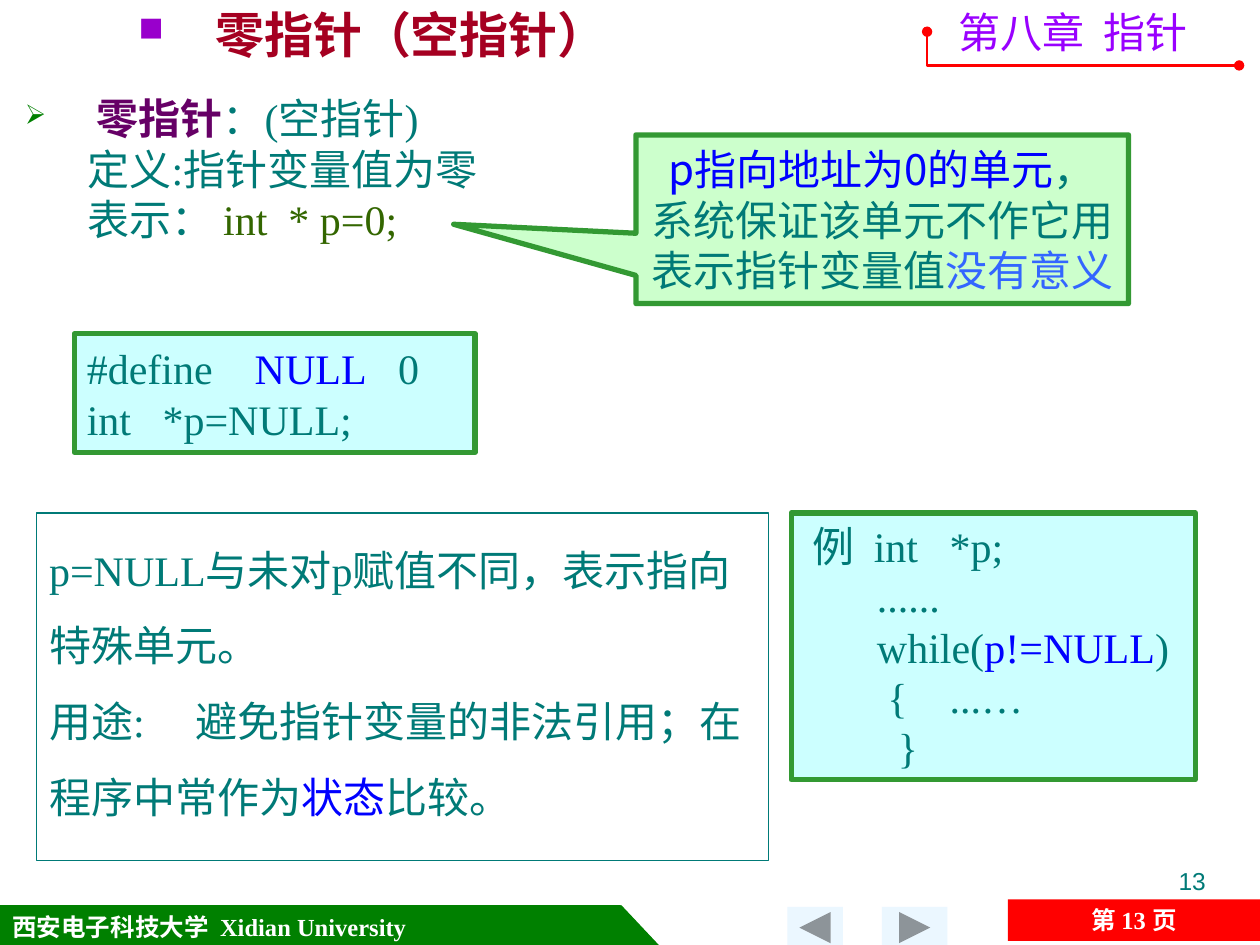
from lxml import etree
from pptx import Presentation
from pptx.dml.color import RGBColor
from pptx.enum.shapes import MSO_SHAPE
from pptx.enum.text import MSO_ANCHOR, PP_ALIGN
from pptx.oxml.ns import qn
from pptx.util import Cm, Pt

RECT = MSO_SHAPE.RECTANGLE
CORNER = MSO_SHAPE.RIGHT_TRIANGLE
CALL = MSO_SHAPE.RECTANGULAR_CALLOUT
NEXT = MSO_SHAPE.ACTION_BUTTON_FORWARD_OR_NEXT
LEFT, MID, RIGHT = PP_ALIGN.LEFT, PP_ALIGN.CENTER, PP_ALIGN.RIGHT
TOP, CENTER, BOTTOM = MSO_ANCHOR.TOP, MSO_ANCHOR.MIDDLE, MSO_ANCHOR.BOTTOM

WHITE = RGBColor(0xFF, 0xFF, 0xFF)
GREEN = RGBColor(0x00, 0x80, 0x00)
RED = RGBColor(0xFF, 0x00, 0x00)
ICE = RGBColor(0xEB, 0xF7, 0xFF)
TEAL = RGBColor(0x00, 0x7A, 0x77)
VIOLET = RGBColor(0x99, 0x00, 0xFF)
PURPLE = RGBColor(0x99, 0x00, 0xCC)
PLUM = RGBColor(0x66, 0x00, 0x66)
OLIVE = RGBColor(0x33, 0x66, 0x00)
MINT = RGBColor(0xCC, 0xFF, 0xCC)
CYAN = RGBColor(0xCC, 0xFF, 0xFF)
EDGE = RGBColor(0x33, 0x99, 0x33)
BLUE = RGBColor(0x00, 0x00, 0xFF)
SKY = RGBColor(0x33, 0x66, 0xFF)
WINE = RGBColor(0xA5, 0x00, 0x21)

SERIF, SANS, CJK = "Times New Roman", "Arial", "Noto Sans CJK SC"


def add(node, tag, **attrs):
    return etree.SubElement(node, qn(tag), attrs)


def mark(para, char, color, size):
    props = para._p.get_or_add_pPr()
    add(add(props, "a:buClr"), "a:srgbClr", val=str(color))
    add(props, "a:buSzPct", val=str(size * 1000))
    add(props, "a:buChar", char=char)


def indent(para, left, first=0):
    props = para._p.get_or_add_pPr()
    props.set("marL", str(Cm(left)))
    props.set("indent", str(Cm(first)))


def tab(para, place):
    tabs = add(para._p.get_or_add_pPr(), "a:tabLst")
    add(tabs, "a:tab", pos=str(Cm(place)), algn="l")


def write(shape, lines, size=24, font=SERIF, color=TEAL, bold=False,
          align=LEFT, anchor=TOP, wrap=True, space=1.0):
    frame = shape.text_frame
    frame.word_wrap, frame.vertical_anchor = wrap, anchor
    paras = []
    for i, line in enumerate(lines):
        para = frame.paragraphs[0] if i == 0 else frame.add_paragraph()
        para.alignment, para.line_spacing = align, space
        for text, *extra in line:
            run = para.add_run()
            run.text = text
            look = {"size": Pt(size), "name": font, "bold": bold, "color": color}
            look.update(*extra)
            run.font.color.rgb = look.pop("color")
            for key, value in look.items():
                setattr(run.font, key, value)
            add(run._r.get_or_add_rPr(), "a:ea", typeface=CJK)
        paras.append(para)
    return paras


def text_box(slide, box):
    return slide.shapes.add_textbox(*map(Cm, box))


def block(slide, box, fill=None, edge=None, width=3, kind=RECT):
    shape = slide.shapes.add_shape(kind, *map(Cm, box))
    shape.shadow.inherit = False
    if fill is None:
        shape.fill.background()
    else:
        shape.fill.solid()
        shape.fill.fore_color.rgb = fill
    if edge is None:
        shape.line.fill.background()
    else:
        shape.line.color.rgb = edge
        shape.line.width = Pt(width)
    return shape


def footer(slide, box):
    x, y, w, h = box
    bar = block(slide, (x, y + 0.13, 12.5, h), GREEN, GREEN, 0.75)
    write(bar, [[("西安电子科技大学  Xidian University",)]], 14, color=WHITE,
          bold=True, anchor=CENTER, wrap=False)
    block(slide, (x + 12.52, y + 0.13, 0.79, h), GREEN, GREEN, 0.75, CORNER)
    for left, wide, turn in ((17.78, 1.32, 0), (15.87, 1.12, 180)):
        block(slide, (x + left, y + 0.15, wide, h), ICE, kind=NEXT).rotation = turn
    page = block(slide, (x + w - 5.08, y, 5.08, h), RED)
    write(page, [[("第 ",), ("13 ", {"name": SERIF}), ("页",)]], 14, CJK, WHITE,
          True, MID, CENTER)
    number = text_box(slide, (x + w - 7.19, y - 0.79, 6.35, 1.32))
    write(number, [[("13",)]], 14, SANS, align=RIGHT)


def chapter(slide, box):
    x, y, w, h = box
    write(text_box(slide, (x + 0.38, y, 5.59, 1.27)), [[("第八章  指针",)]],
          font=CJK, color=VIOLET, wrap=False)
    path = slide.shapes.build_freeform(Cm(x), Cm(y + 0.64))
    path.add_line_segments([(Cm(x), Cm(y + h)), (Cm(x + w), Cm(y + h))], close=False)
    rule = path.convert_to_shape()
    rule.shadow.inherit = False
    rule.fill.background()
    rule.line.color.rgb = RED
    rule.line.width = Pt(1.5)
    for end in ("a:headEnd", "a:tailEnd"):
        add(rule.line._get_or_add_ln(), end, type="oval")


def heading(slide, box):
    head, = write(text_box(slide, box), [[("零指针（空指针）",)]], 28, SANS, WINE,
                  True, anchor=BOTTOM)
    indent(head, 1.55, -1.55)
    mark(head, "■", PURPLE, 70)


def meaning(slide, box):
    first, *rest = write(text_box(slide, box), [
        [("零指针", {"bold": True, "color": PLUM}), ("：(空指针)",)],
        [("定义:指针变量值为零",)],
        [("表示： ",), ("int  * p=0;", {"color": OLIVE})],
    ])
    indent(first, 1.45, -1.45)
    mark(first, "➢", GREEN, 65)
    for para in rest:
        indent(para, 1.27)


def callout(slide, box):
    note = block(slide, box, MINT, EDGE, kind=CALL)
    note.adjustments[0], note.adjustments[1] = -0.87, 0.03
    write(note, [
        [("p指向地址为0的单元", {"color": BLUE}), ("，",)],
        [("系统保证该单元不作它用",)],
        [("表示指针变量值",), ("没有意义", {"color": SKY})],
    ], font=CJK, align=MID, anchor=CENTER, wrap=False)


def code(slide, box, lines, wrap=True):
    write(block(slide, box, CYAN, EDGE), lines, anchor=CENTER, wrap=wrap)


def usage(slide, box):
    paras = write(block(slide, box, edge=TEAL, width=0.75), [
        [("p=NULL与未对p赋值不同，表示指向特殊单元。",)],
        [("用途:\t避免指针变量的非法引用；在程序中常作为",),
         ("状态", {"color": BLUE}), ("比较。",)],
    ], space=1.5)
    tab(paras[1], 2.96)


def main():
    deck = Presentation()
    deck.slide_width, deck.slide_height = Cm(25.4), Cm(19.05)
    slide = deck.slides.add_slide(deck.slide_layouts[6])
    footer(slide, (0, 18.13, 25.4, 0.84))
    chapter(slide, (18.69, 0, 6.29, 1.32))
    meaning(slide, (0.25, 1.75, 22.63, 4.93))
    callout(slide, (12.82, 2.72, 9.93, 3.4))
    code(slide, (1.5, 6.73, 8.08, 2.39), [
        [("#define    ",), ("NULL", {"color": BLUE}), ("   0",)],
        [("int   *p=NULL;",)],
    ])
    usage(slide, (0.74, 10.34, 14.76, 7.01))
    code(slide, (15.95, 10.34, 8.15, 5.38), [
        [(" 例  int   *p;",)],
        [("       ......",)],
        [("       while(",), ("p!=NULL", {"color": BLUE}), (")",)],
        [("        {    ...…",)],
        [("         }",)],
    ], wrap=False)
    heading(slide, (2.54, 0, 11.35, 1.4))
    deck.save("out.pptx")


if __name__ == "__main__":
    main()
